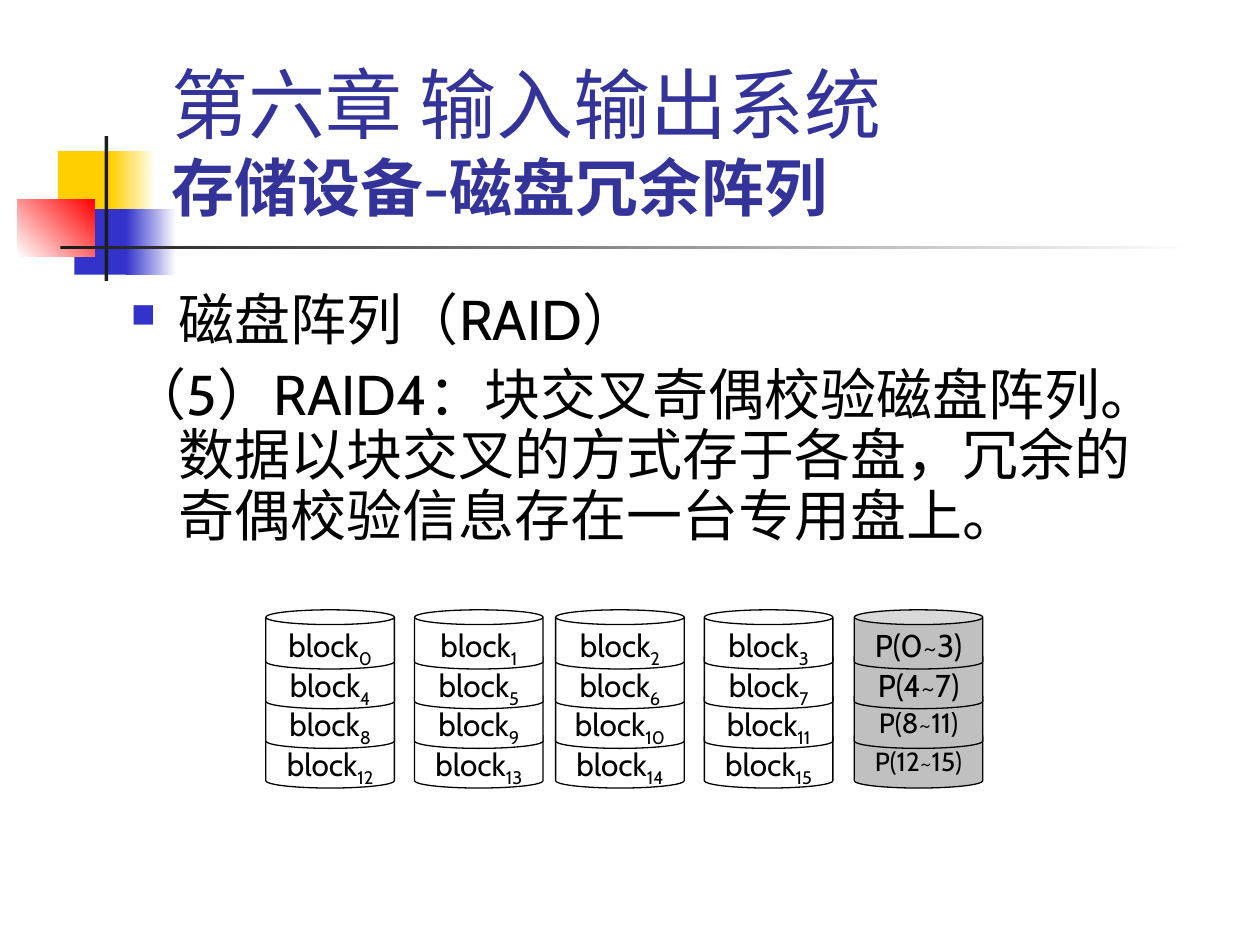
from collections import namedtuple

from lxml import etree
from pptx import Presentation
from pptx import util as u
from pptx.dml.color import RGBColor
from pptx.enum import shapes, text
from pptx.oxml import ns

FONT = "Cabin"
WHITE = RGBColor(0xFF, 0xFF, 0xFF)
BLACK = RGBColor(0x00, 0x00, 0x00)
YELLOW = RGBColor(0xFF, 0xCF, 0x01)
BLUE = RGBColor(0x33, 0x33, 0xCC)
RED = RGBColor(0xFF, 0x00, 0x00)
CHARCOAL = RGBColor(0x1C, 0x1C, 0x1C)
NAVY = RGBColor(0x33, 0x33, 0x99)
GREY = RGBColor(0xC0, 0xC0, 0xC0)

# The page is a grid of 100 columns by 75 rows, all boxes are counted in its cells.
CELL = u.Inches(0.1)
COLUMNS, ROWS = 100, 75
Box = namedtuple("Box", "left top width height")

DISK_COLUMNS = [0, 11.8, 23, 34.8, 46.7]
DISK_WIDTH = 10.2
DISK_LAYERS = 4
LAYER_STEP = 3.15
DATA_DISKS = len(DISK_COLUMNS) - 1
PARITY_LABELS = [("P(0~3)", 18), ("P(4~7)", 18), ("P(8~11)", 16), ("P(12~15)", 15)]


def inside(box, left, top, width, height):
    """Return the box whose corner is counted from the corner of another."""
    return Box(box.left + left, box.top + top, width, height)


def to_lengths(box):
    return [round(cells * CELL) for cells in box]


def set_font(para, size, color, bold=False):
    para.font.name = FONT
    para.font.size = u.Pt(size)
    para.font.color.rgb = color
    para.font.bold = bold


def add_text_frame(parent, box):
    frame = parent.shapes.add_textbox(*to_lengths(box)).text_frame
    frame.word_wrap = True
    return frame


def add_solid(parent, kind, box, color):
    shape = parent.shapes.add_shape(kind, *to_lengths(box))
    shape.shadow.inherit = False
    shape.fill.solid()
    shape.fill.fore_color.rgb = color
    shape.line.fill.background()
    return shape


def add_fade(parent, box, start, end, angle=0):
    """Add a rectangle that fades from one colour to another."""
    fill = add_solid(parent, shapes.MSO_SHAPE.RECTANGLE, box, start).fill
    fill.gradient()
    fill.gradient_angle = angle
    for stop, color, position in zip(fill.gradient_stops, (start, end), (0, 1)):
        stop.color.rgb = color
        stop.position = position


def draw_motif(page, box):
    """Draw the coloured squares and the two crossing rules."""
    rectangle = shapes.MSO_SHAPE.RECTANGLE
    add_solid(page, rectangle, inside(box, 3.2, 1.2, 4.8, 5.2), YELLOW)
    add_fade(page, inside(box, 7.4, 1.2, 3.6, 5.2), YELLOW, WHITE)
    add_solid(page, rectangle, inside(box, 4.5, 5.8, 4.6, 5.2), BLUE)
    add_fade(page, inside(box, 8.6, 5.8, 4, 5.2), BLUE, WHITE)
    add_fade(page, inside(box, 0, 5, 6.1, 4.6), WHITE, RED, angle=45)
    add_solid(page, rectangle, inside(box, 6.9, 0, 0.3, box.height), CHARCOAL)
    add_fade(page, inside(box, 3.4, 8.7, box.width - 3.4, 0.3), CHARCOAL, WHITE)


def draw_title(page, box):
    frame = add_text_frame(page, box)
    frame.vertical_anchor = text.MSO_ANCHOR.BOTTOM
    para = frame.paragraphs[0]
    set_font(para, 44, NAVY)
    para.add_run().text = "第六章 输入输出系统"
    para.add_line_break()
    subtitle = para.add_run()
    subtitle.text = "存储设备-磁盘冗余阵列"
    subtitle.font.size = u.Pt(36)
    subtitle.font.bold = True


def add_square_bullet(para, color):
    properties = para._p.get_or_add_pPr()
    bullet_color = etree.SubElement(properties, ns.qn("a:buClr"))
    etree.SubElement(bullet_color, ns.qn("a:srgbClr"), val=str(color))
    etree.SubElement(properties, ns.qn("a:buSzPct"), val="60000")
    etree.SubElement(properties, ns.qn("a:buChar"), char="■")


def draw_body(page, box):
    frame = add_text_frame(page, box)
    heading, detail = frame.paragraphs[0], frame.add_paragraph()
    heading.text = "磁盘阵列（RAID）"
    detail.text = (
        "（5）RAID4：块交叉奇偶校验磁盘阵列。数据以块交叉的方式存于各盘，"
        "冗余的奇偶校验信息存在一台专用盘上。"
    )
    detail.space_before = u.Pt(8)
    add_square_bullet(heading, BLUE)
    for para in (heading, detail):
        properties = para._p.get_or_add_pPr()
        properties.set("marL", str(u.Inches(0.38)))
        properties.set("indent", str(-u.Inches(0.38)))
        para.line_spacing = 0.9
        set_font(para, 32, BLACK)


def draw_disk(page, box, color, labels):
    """Stack the layers of a disk; each label is a text, a subscript and a size."""
    disk = page.shapes.add_group_shape()
    layer_height = box.height - (DISK_LAYERS - 1) * LAYER_STEP
    layers = [
        inside(box, 0, row * LAYER_STEP, box.width, layer_height)
        for row in range(DISK_LAYERS)
    ]
    for layer in reversed(layers):
        can = add_solid(disk, shapes.MSO_SHAPE.CAN, layer, color)
        can.adjustments[0] = 0.25
        can.line.color.rgb = BLACK
        can.line.width = u.Pt(0.75)
    for layer, (label, subscript, size) in zip(layers, labels):
        frame = add_text_frame(disk, inside(layer, 0, 0.8, box.width, 4.4))
        para = frame.paragraphs[0]
        para.alignment = text.PP_ALIGN.CENTER
        set_font(para, size, BLACK)
        para.add_run().text = label
        if subscript:
            span = para.add_run()
            span.text = subscript
            span.font._element.set("baseline", "-25000")


def draw_disk_array(page, box):
    for disk, column in enumerate(DISK_COLUMNS):
        disk_box = inside(box, column, 0, DISK_WIDTH, box.height)
        if disk < DATA_DISKS:
            labels = [
                ("block", str(row * DATA_DISKS + disk), 18)
                for row in range(DISK_LAYERS)
            ]
            draw_disk(page, disk_box, WHITE, labels)
        else:
            labels = [(label, "", size) for label, size in PARITY_LABELS]
            draw_disk(page, disk_box, GREY, labels)


def main():
    deck = Presentation()
    deck.slide_width, deck.slide_height = COLUMNS * CELL, ROWS * CELL
    page = deck.slides.add_slide(deck.slide_layouts[6])
    draw_motif(page, Box(1.4, 10.8, 93.4, 11.5))
    draw_title(page, Box(12.6, 2.3, 85.2, 16))
    draw_body(page, Box(9.4, 22.7, 85, 22))
    draw_disk_array(page, Box(21.1, 48.4, 56.9, 14.15))
    deck.save("out.pptx")


if __name__ == "__main__":
    main()
